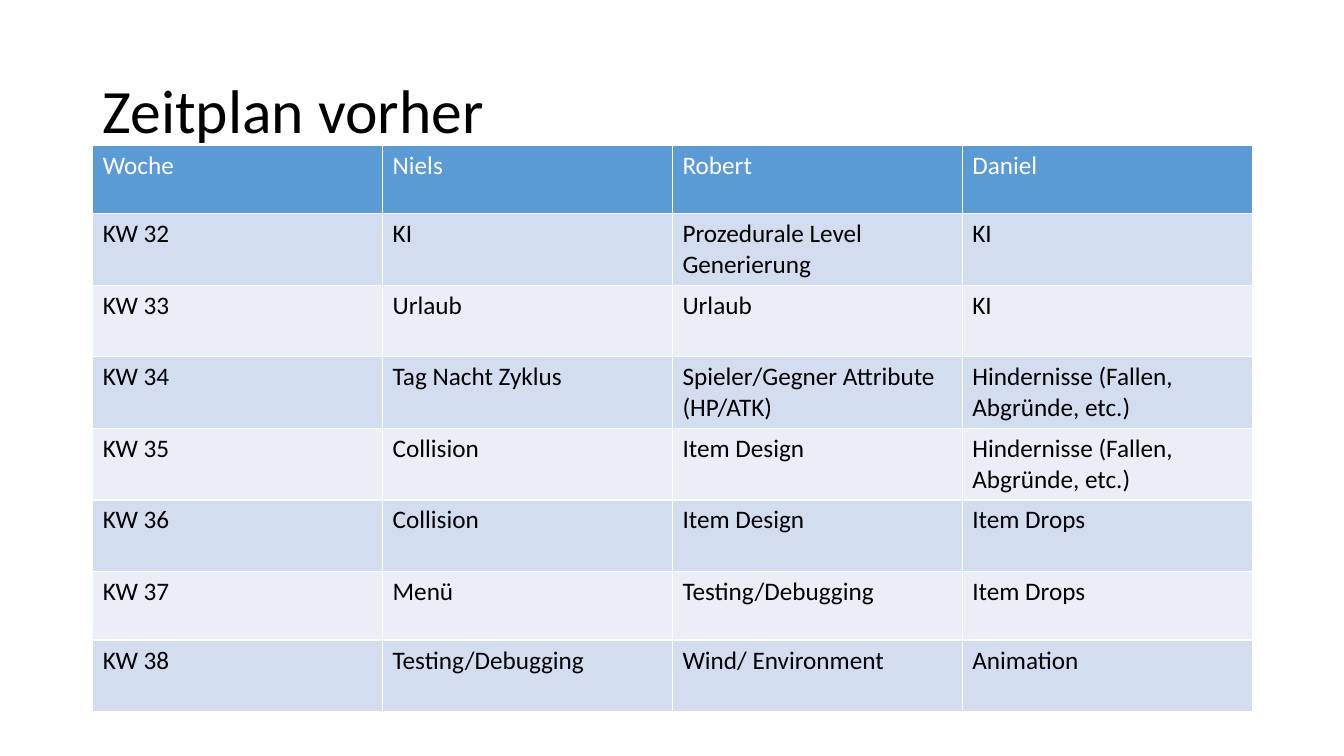
from pptx import Presentation
from pptx.dml.color import RGBColor
from pptx.enum.text import MSO_ANCHOR
from pptx.util import Inches, Pt

TITLE = "Zeitplan vorher"
SCHEDULE = [
    ("Woche", "Niels", "Robert", "Daniel"),
    ("KW 32", "KI", "Prozedurale Level Generierung", "KI"),
    ("KW 33", "Urlaub", "Urlaub", "KI"),
    ("KW 34", "Tag Nacht Zyklus", "Spieler/Gegner Attribute (HP/ATK)",
     "Hindernisse (Fallen, Abgründe, etc.)"),
    ("KW 35", "Collision", "Item Design", "Hindernisse (Fallen, Abgründe, etc.)"),
    ("KW 36", "Collision", "Item Design", "Item Drops"),
    ("KW 37", "Menü", "Testing/Debugging", "Item Drops"),
    ("KW 38", "Testing/Debugging", "Wind/ Environment", "Animation"),
]
FONT = "Calibri"
BLACK, WHITE = "000000", "FFFFFF"
HEADER_FILL, BAND_FILLS = "5B9BD5", ("EAEFF7", "D2DEEF")
LOW_ROW, TALL_ROW = 0.68, 0.71
LOW_WEEKS = ("Woche", "KW 37")

SLIDE_W, SLIDE_H = 13.33, 7.5
MARGIN = 0.92
CONTENT_W = 11.5
TABLE_TOP = 1.44


def color(hex_code):
    return RGBColor.from_string(hex_code)


def write(frame, words, size, hex_code):
    frame.text = words
    font = frame.paragraphs[0].runs[0].font
    font.name, font.size, font.bold = FONT, Pt(size), False
    font.color.rgb = color(hex_code)


def add_title(slide):
    box = slide.shapes.add_textbox(
        Inches(MARGIN), Inches(0.4), Inches(CONTENT_W), Inches(1.45))
    frame = box.text_frame
    frame.word_wrap = True
    frame.vertical_anchor = MSO_ANCHOR.MIDDLE
    write(frame, TITLE, 44, BLACK)
    frame.paragraphs[0].line_spacing = 0.9


def add_schedule(slide):
    """Add the week table; the default table style supplies its white borders."""
    heights = [LOW_ROW if row[0] in LOW_WEEKS else TALL_ROW for row in SCHEDULE]
    columns = len(SCHEDULE[0])
    table = slide.shapes.add_table(
        len(SCHEDULE), columns, Inches(MARGIN), Inches(TABLE_TOP),
        Inches(CONTENT_W), Inches(sum(heights))).table
    for column in table.columns:
        column.width = Inches(CONTENT_W / columns)
    for r, (entries, height) in enumerate(zip(SCHEDULE, heights)):
        table.rows[r].height = Inches(height)
        for c, entry in enumerate(entries):
            cell = table.cell(r, c)
            cell.fill.solid()
            cell.fill.fore_color.rgb = color(BAND_FILLS[r % 2] if r else HEADER_FILL)
            write(cell.text_frame, entry, 18, BLACK if r else WHITE)


def main():
    deck = Presentation()
    deck.slide_width, deck.slide_height = Inches(SLIDE_W), Inches(SLIDE_H)
    slide = deck.slides.add_slide(deck.slide_layouts[6])
    add_title(slide)
    add_schedule(slide)
    deck.save("out.pptx")


if __name__ == "__main__":
    main()
